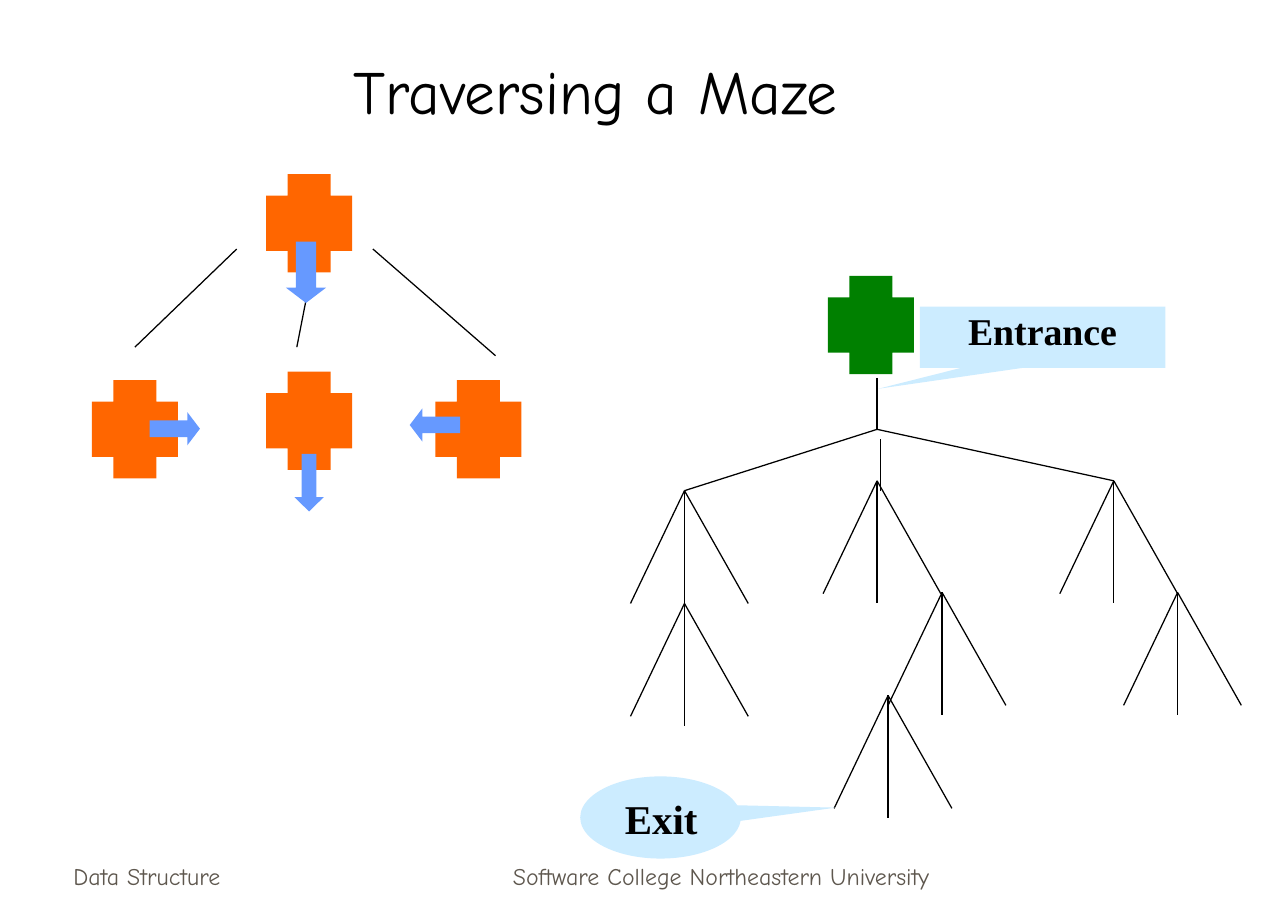
from lxml.etree import SubElement
from pptx import Presentation
from pptx.dml.color import RGBColor
from pptx.enum.shapes import MSO_CONNECTOR, MSO_SHAPE
from pptx.enum.text import MSO_ANCHOR, PP_ALIGN
from pptx.oxml.ns import qn
from pptx.util import Pt

PX = 9144
ORANGE, GREEN, BLUE, PALE = "FF6600", "008000", "6699FF", "CCECFF"
BLACK, BROWN = "000000", "5E574E"
HAND, SERIF = "Comic Neue", "Times New Roman"
color = RGBColor.from_string

presentation = Presentation()
presentation.slide_width = 1050 * PX
presentation.slide_height = 750 * PX
slide = presentation.slides.add_slide(presentation.slide_layouts[6])


def add_figure(preset, box, fill, adjustments, rotation=0):
    shape = slide.shapes.add_shape(preset, *[length * PX for length in box])
    shape.shadow.inherit = False
    shape.fill.solid()
    shape.fill.fore_color.rgb = color(fill)
    shape.line.fill.background()
    shape.rotation = rotation
    for index, value in enumerate(adjustments):
        shape.adjustments[index] = value
    return shape


def write(shape, text, font_name, size, text_color, align, anchor, bold=False):
    frame = shape.text_frame
    frame.word_wrap = True
    frame.vertical_anchor = anchor
    paragraph = frame.paragraphs[0]
    paragraph.text = text
    paragraph.alignment = align
    paragraph.font.name = font_name
    paragraph.font.size = Pt(size)
    paragraph.font.bold = bold
    paragraph.font.color.rgb = color(text_color)
    return paragraph


tree_lines = [
    (193, 203, 110, 283),
    (304, 203, 404, 290),
    (250, 242, 242, 283),
    (718, 358, 718, 400),
    (715, 308, 715, 350),
    (715, 350, 558, 400),
    (715, 350, 908, 392),
]
forks = [(558, 400), (715, 392), (908, 392), (768, 483), (558, 492), (960, 483), (724, 567)]
branches = [(-44, 92), (0, 100), (52, 92)]
for x, y in forks:
    for across, down in branches:
        tree_lines.append((x, y, x + across, y + down))

for ends in tree_lines:
    connector = slide.shapes.add_connector(MSO_CONNECTOR.STRAIGHT, *[end * PX for end in ends])
    connector.line.color.rgb = color(BLACK)
    connector.line.width = Pt(0.75)
    SubElement(connector.element.spPr, qn("a:effectLst"))

crossings = [
    (75, 310, ORANGE),
    (355, 310, ORANGE),
    (217, 303, ORANGE),
    (217, 142, ORANGE),
    (675, 225, GREEN),
]
for left, top, fill in crossings:
    add_figure(MSO_SHAPE.CROSS, (left, top, 70, 80), fill, [0.25])

moves = [
    ((240, 370, 24, 47), 0.49, 0),
    ((129, 329, 27, 41), 0.38, 270),
    ((341, 326, 27, 41), 0.38, 90),
    ((233, 197, 33, 50), 0.38, 0),
]
for box, head, rotation in moves:
    add_figure(MSO_SHAPE.DOWN_ARROW, box, BLUE, [0.5, head], rotation)

entrance = add_figure(MSO_SHAPE.RECTANGULAR_CALLOUT, (750, 250, 200, 50), PALE, [-0.67, 0.84])
entrance_label = write(entrance, "Entrance", SERIF, 22.2, BLACK, PP_ALIGN.CENTER, MSO_ANCHOR.TOP, True)
entrance_label.line_spacing = 0.9
add_figure(MSO_SHAPE.OVAL_CALLOUT, (473, 633, 131, 67), PALE, [1.09, -0.12])

captions = [
    ((47, 25, 893, 83), "Traversing a Maze ", HAND, 36, BLACK, PP_ALIGN.CENTER, MSO_ANCHOR.BOTTOM),
    ((50, 681, 219, 50), "Data Structure", HAND, 14, BROWN, PP_ALIGN.LEFT, MSO_ANCHOR.BOTTOM),
    ((359, 681, 458, 50), "Software College Northeastern University", HAND, 14, BROWN,
     PP_ALIGN.CENTER, MSO_ANCHOR.BOTTOM),
    ((489, 642, 100, 50), "Exit", SERIF, 24, BLACK, PP_ALIGN.CENTER, MSO_ANCHOR.TOP, True),
]
for box, *style in captions:
    write(slide.shapes.add_textbox(*[length * PX for length in box]), *style)

presentation.save("out.pptx")
